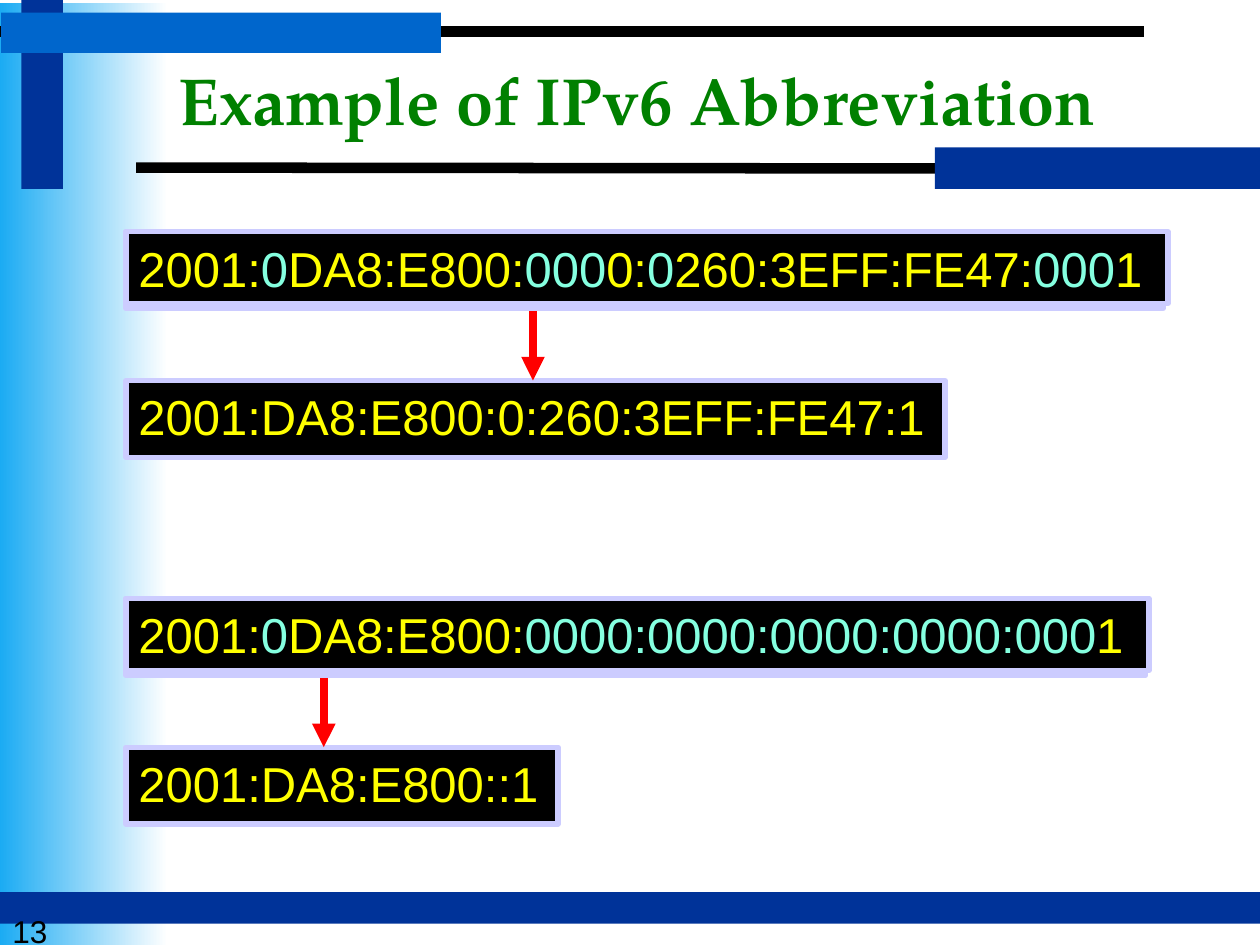
from typing import NamedTuple

from lxml import etree
from pptx import Presentation
from pptx.dml.color import RGBColor
from pptx.enum.shapes import MSO_CONNECTOR, MSO_SHAPE
from pptx.enum.text import MSO_ANCHOR, PP_ALIGN
from pptx.oxml.ns import qn
from pptx.util import Inches, Pt

RECT = MSO_SHAPE.RECTANGLE
LINE = MSO_CONNECTOR.STRAIGHT
TOP, MIDDLE = MSO_ANCHOR.TOP, MSO_ANCHOR.MIDDLE
LEFT, CENTER = PP_ALIGN.LEFT, PP_ALIGN.CENTER

WHITE = RGBColor(0xFF, 0xFF, 0xFF)
BLACK = RGBColor(0, 0, 0)
SKY = RGBColor(0x1B, 0xAB, 0xF3)
NAVY = RGBColor(0x00, 0x33, 0x99)
BLUE = RGBColor(0x00, 0x66, 0xCC)
GREEN = RGBColor(0x00, 0x80, 0x00)
TEAL = RGBColor(0x00, 0xCC, 0x99)
LILAC = RGBColor(0xCC, 0xCC, 0xFF)
YELLOW = RGBColor(0xFF, 0xFF, 0x00)
MINT = RGBColor(0x85, 0xFF, 0xE0)
RED = RGBColor(0xFF, 0, 0)

SANS, SERIF = "Arial", "TeX Gyre Pagella"
EDGE = 1.0    # left side of every address box
DROP = 1.18   # from a full address down to its short form
TALL = 0.61   # height of a short or backing box


class Bar(NamedTuple):
    left: float
    top: float
    width: float
    height: float
    color: RGBColor


class Run(NamedTuple):
    text: str
    color: RGBColor = YELLOW


class Pair(NamedTuple):
    top: float
    back: float         # width of the backing box
    width: float        # width of the full address box
    full: list[Run]
    short: str
    small: float        # width of the short box
    arrow: float        # x of the arrow


BARS = [
    Bar(0.17, 0, 0.33, 1.5, NAVY),
    Bar(0.01, 0.1, 3.49, 0.32, BLUE),
    Bar(7.42, 1.17, 2.58, 0.33, NAVY),
    Bar(0, 7.08, 10, 0.25, NAVY),
]

HEAD = [Run("2001:"), Run("0", MINT), Run("DA8:E800:")]
PAIRS = [
    Pair(1.84, 8.23, 8.27,
         HEAD + [Run("000", MINT), Run("0:"), Run("0", MINT),
                 Run("260:3EFF:FE47:"), Run("000", MINT), Run("1")],
         "2001:DA8:E800:0:260:3EFF:FE47:1", 6.5, 4.23),
    Pair(4.75, 8.09, 8.12,
         HEAD + [Run("0000:0000:0000:0000:000", MINT), Run("1")],
         "2001:DA8:E800::1", 3.43, 2.57),
]


def add_bar(shapes, bar: Bar):
    box = shapes.add_shape(RECT, Inches(bar.left), Inches(bar.top),
                           Inches(bar.width), Inches(bar.height))
    box.shadow.inherit = False
    box.fill.solid()
    box.fill.fore_color.rgb = bar.color
    box.line.fill.background()
    return box


def add_line(shapes, x1: float, y1: float, x2: float, y2: float,
             color: RGBColor, width: float, tip: bool = False) -> None:
    line = shapes.add_connector(LINE, Inches(x1), Inches(y1),
                                Inches(x2), Inches(y2))
    line.line.color.rgb = color
    line.line.width = Pt(width)
    props = line.line._get_or_add_ln()
    if tip:
        etree.SubElement(props, qn("a:tailEnd"), type="triangle")
    etree.SubElement(props.getparent(), qn("a:effectLst"))


def write(shape, runs: list[Run], size: float, font: str = SANS,
          align=LEFT, anchor=TOP, bold: bool = False) -> None:
    frame = shape.text_frame
    frame.word_wrap = True
    frame.vertical_anchor = anchor
    para = frame.paragraphs[0]
    para.alignment = align
    for item in runs:
        run = para.add_run()
        run.text = item.text
        run.font.name = font
        run.font.size = Pt(size)
        run.font.bold = bold
        run.font.color.rgb = item.color


def add_box(shapes, top: float, width: float, height: float,
            color: RGBColor, runs: list[Run]) -> None:
    box = add_bar(shapes, Bar(EDGE, top, width, height, color))
    box.line.color.rgb = LILAC
    box.line.width = Pt(3)
    if runs:
        write(box, runs, 28)


def add_pair(shapes, pair: Pair) -> None:
    low = pair.top + DROP
    add_box(shapes, pair.top, pair.back, TALL, TEAL, [])
    add_box(shapes, pair.top, pair.width, 0.57, BLACK, pair.full)
    add_box(shapes, low, pair.small, TALL, BLACK, [Run(pair.short)])
    add_line(shapes, pair.arrow, low - 0.55, pair.arrow, low, RED, 4.5, True)


def main() -> None:
    deck = Presentation()
    deck.slide_width, deck.slide_height = Inches(10), Inches(7.5)
    shapes = deck.slides.add_slide(deck.slide_layouts[6]).shapes

    # Side fade
    fade = add_bar(shapes, Bar(0, 0.02, 1.33, 7.48, SKY))
    fade.fill.gradient()
    fade.fill.gradient_angle = 180
    for stop, place, color in zip(fade.fill.gradient_stops, (0, 1), (WHITE, SKY)):
        stop.position = place
        stop.color.rgb = color

    # Rules and bars
    add_line(shapes, 1.08, 1.33, 10, 1.34, BLACK, 6)
    add_line(shapes, 0, 0.25, 9.08, 0.25, BLACK, 6)
    for bar in BARS:
        add_bar(shapes, bar)

    # Page number and title
    page = shapes.add_textbox(Inches(0), Inches(7.19), Inches(0.62), Inches(0.31))
    write(page, [Run("13", BLACK)], 18)
    title = shapes.add_textbox(Inches(0.5), Inches(0.33), Inches(9.25), Inches(0.91))
    write(title, [Run("Example of IPv6 Abbreviation ", GREEN)], 38, SERIF,
          CENTER, MIDDLE, True)

    # Addresses, full and short
    for pair in PAIRS:
        add_pair(shapes, pair)

    deck.save("out.pptx")


if __name__ == "__main__":
    main()
